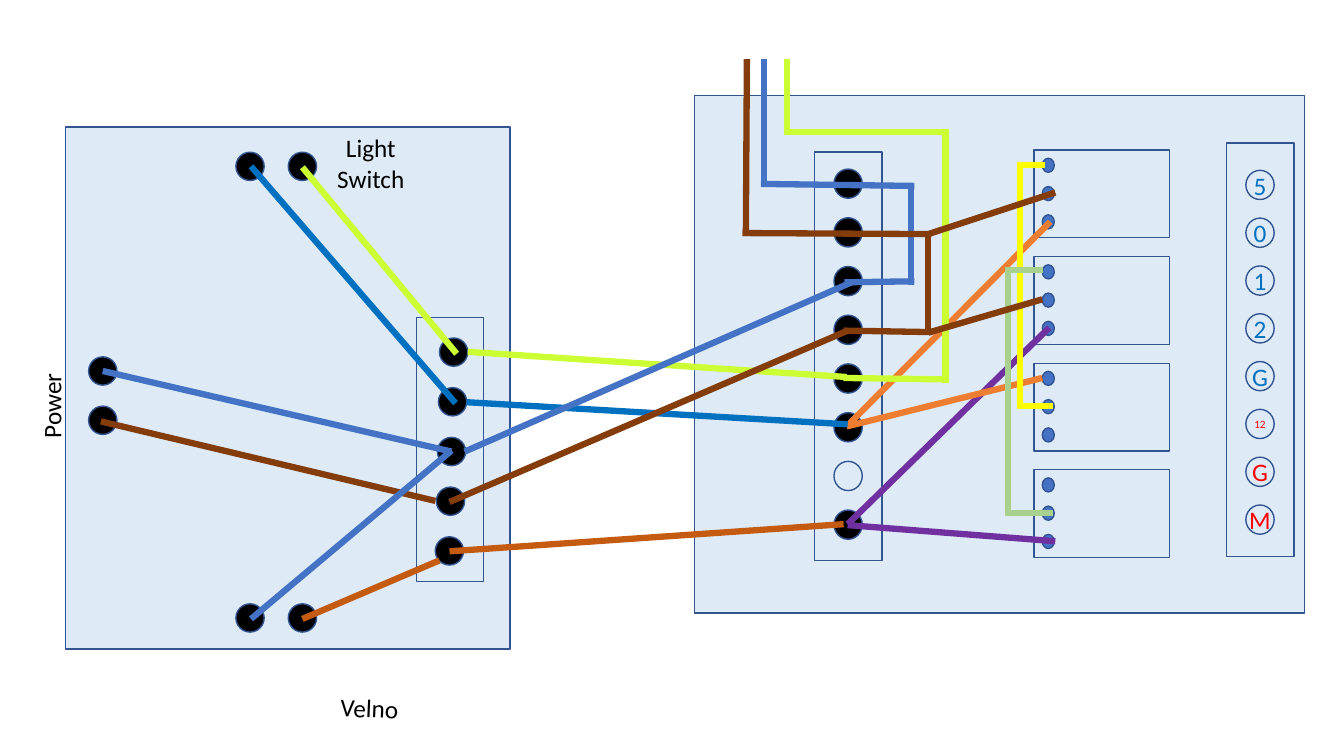
"""Build the wiring diagram slide: junction box, relay board and the cables between them."""
from itertools import pairwise
from lxml import etree
from pptx import Presentation
from pptx.dml.color import RGBColor
from pptx.enum import shapes, text
from pptx.oxml import ns
from pptx.util import Pt

PANEL = RGBColor(0xDE, 0xEB, 0xF7)
OUTLINE = RGBColor(0x32, 0x54, 0x91)
BLACK = RGBColor(0, 0, 0)
BLUE = RGBColor(0x44, 0x72, 0xC4)
DEEP_BLUE = RGBColor(0x00, 0x70, 0xC0)
LIME = RGBColor(0xCC, 0xFF, 0x33)
BROWN = RGBColor(0x84, 0x3C, 0x0B)
RUST = RGBColor(0xC5, 0x5A, 0x11)
ORANGE = RGBColor(0xED, 0x7D, 0x31)
PURPLE = RGBColor(0x70, 0x30, 0xA0)
YELLOW = RGBColor(0xFF, 0xFF, 0x00)
SAGE = RGBColor(0xA9, 0xD1, 0x8E)
RED = RGBColor(0xFF, 0, 0)

deck = Presentation()
deck.slide_width, deck.slide_height = Pt(960), Pt(540)
slide = deck.slides.add_slide(deck.slide_layouts[6])


def outlined(kind, x, y, width, height, fill=None):
    """Add an outlined shape centred on x, y."""
    part = slide.shapes.add_shape(kind, Pt(x - width / 2), Pt(y - height / 2), Pt(width), Pt(height))
    part.shadow.inherit = False
    if fill is None:
        part.fill.background()
    else:
        part.fill.solid()
        part.fill.fore_color.rgb = fill
    part.line.color.rgb = OUTLINE
    part.line.width = Pt(1)
    return part


def write(frame, words, size, color, align):
    """Fill a text frame and format every run."""
    frame.text = words
    for paragraph in frame.paragraphs:
        paragraph.alignment = align
        for run in paragraph.runs:
            run.font.name, run.font.size = "Calibri", Pt(size)
            run.font.color.rgb = color


RECT, DOT = shapes.MSO_SHAPE.RECTANGLE, shapes.MSO_SHAPE.OVAL
LEFT, CENTER = text.PP_ALIGN.LEFT, text.PP_ALIGN.CENTER

for x, y, width, height, fill in [
    (205.6, 277.2, 317.5, 373, PANEL),
    (321.5, 321.1, 48.2, 188.6, None),
    (713.9, 253.1, 435.6, 369.4, PANEL),
    (605.9, 254.5, 48.2, 291.6, None),
    (900.3, 249.8, 48.2, 295.2, None),
]:
    outlined(RECT, x, y, width, height, fill)

junction = [(324 - 0.75 * i, 251.5 + 35.5 * i) for i in range(5)]
power = [(73.4, 265), (73.4, 300.2)]
switch = [(178.6, 118.8), (216, 118.8)]
fan = [(178.6, 441.4), (216, 441.4)]
for x, y in junction + power + switch + fan:
    outlined(DOT, x, y, 20.2, 20.2, BLACK)

for i in range(8):
    outlined(DOT, 605.8, 131.2 + 34.8 * i, 20.2, 20.9, None if i == 6 else BLACK)

for relay in range(4):
    top = 107.3 + 76.1 * relay
    for pin in range(3):
        outlined(DOT, 748.8, top + 10.8 + 20.2 * pin, 8.6, 10.1, BLUE)
    outlined(RECT, 787, top + 31.3, 96.5, 62.6)

for i, name in enumerate(["5", "0", "1", "2", "G", "12", "G", "M"]):
    output = outlined(DOT, 900, 132.1 + 34.15 * i, 20.2, 20.9)
    frame = output.text_frame
    frame.word_wrap = False
    frame.vertical_anchor = text.MSO_ANCHOR.MIDDLE
    frame.margin_left = frame.margin_right = frame.margin_top = frame.margin_bottom = 0
    write(frame, name, 8 if name == "12" else 18, DEEP_BLUE if i < 5 else RED, CENTER)

for words, x, y, width, height, angle, align in [
    ("Power", 36.7, 285.8, 68.4, 28.8, 270, LEFT),
    ("Velno", 270, 506.2, 67.7, 29.5, 2.6, LEFT),
    ("Light\nSwitch", 264.9, 116.7, 67.7, 51.1, 0, CENTER),
]:
    label = slide.shapes.add_textbox(Pt(x - width / 2), Pt(y - height / 2), Pt(width), Pt(height))
    label.rotation = angle
    label.text_frame.word_wrap = True
    write(label.text_frame, words, 18, BLACK, align)

wires = [
    (LIME, [(216, 119.5), (326.2, 252.7)]),
    (DEEP_BLUE, [(179.3, 118.8), (325.4, 288)]),
    (BLUE, [(73.4, 265), (322.6, 322.6)]),
    (BROWN, [(72, 301), (311, 357.8)]),
    (BLUE, [(179.3, 442.1), (322.6, 321.8)]),
    (RUST, [(216, 442.1), (313.9, 400.3)]),
    (PURPLE, [(749.5, 234), (605.5, 374.4)]),
    (ORANGE, [(750.2, 158.4), (604.8, 304.6), (744.5, 270)]),
    (YELLOW, [(744.5, 118.1), (728.6, 118.1), (728.6, 290.2), (750.2, 290.2)]),
    (SAGE, [(743, 193), (720, 193), (720, 366.5), (750.2, 366.5)]),
    (BLUE, [(545.8, 44.5), (545.8, 131.4), (650.9, 132.8), (650.9, 201), (605.5, 201.6)]),
    (LIME, [(562.3, 44.5), (562.3, 94.3), (675.4, 94.3), (675.4, 271), (604.8, 270)]),
    (BROWN, [(533.5, 44.5), (532.8, 166.5), (663.1, 167.2), (663.1, 237.2), (604.8, 236.2)]),
    (BROWN, [(663.1, 167.2), (753.8, 137.5)]),
    (BROWN, [(663.1, 237.6), (744.5, 213.8)]),
    (PURPLE, [(753.8, 386.6), (605.5, 375.1)]),
    (LIME, [(334.1, 251.3), (604.8, 269.3)]),
    (DEEP_BLUE, [(333.4, 287.3), (605.5, 303.1)]),
    (BROWN, [(321.1, 358.6), (605.5, 236.2)]),
    (BLUE, [(331.9, 322.6), (608.4, 201.6)]),
    (RUST, [(321.1, 393.8), (602.6, 374.4)]),
]
for color, route in wires:
    for (x1, y1), (x2, y2) in pairwise(route):
        wire = slide.shapes.add_connector(shapes.MSO_CONNECTOR.STRAIGHT, Pt(x1), Pt(y1), Pt(x2), Pt(y2))
        wire.line.color.rgb = color
        wire.line.width = Pt(4.5)
        properties = wire.element.spPr
        properties.find(ns.qn("a:ln")).set("cap", "sq" if len(route) > 3 else "flat")
        etree.SubElement(properties, ns.qn("a:effectLst"))

deck.save("out.pptx")
